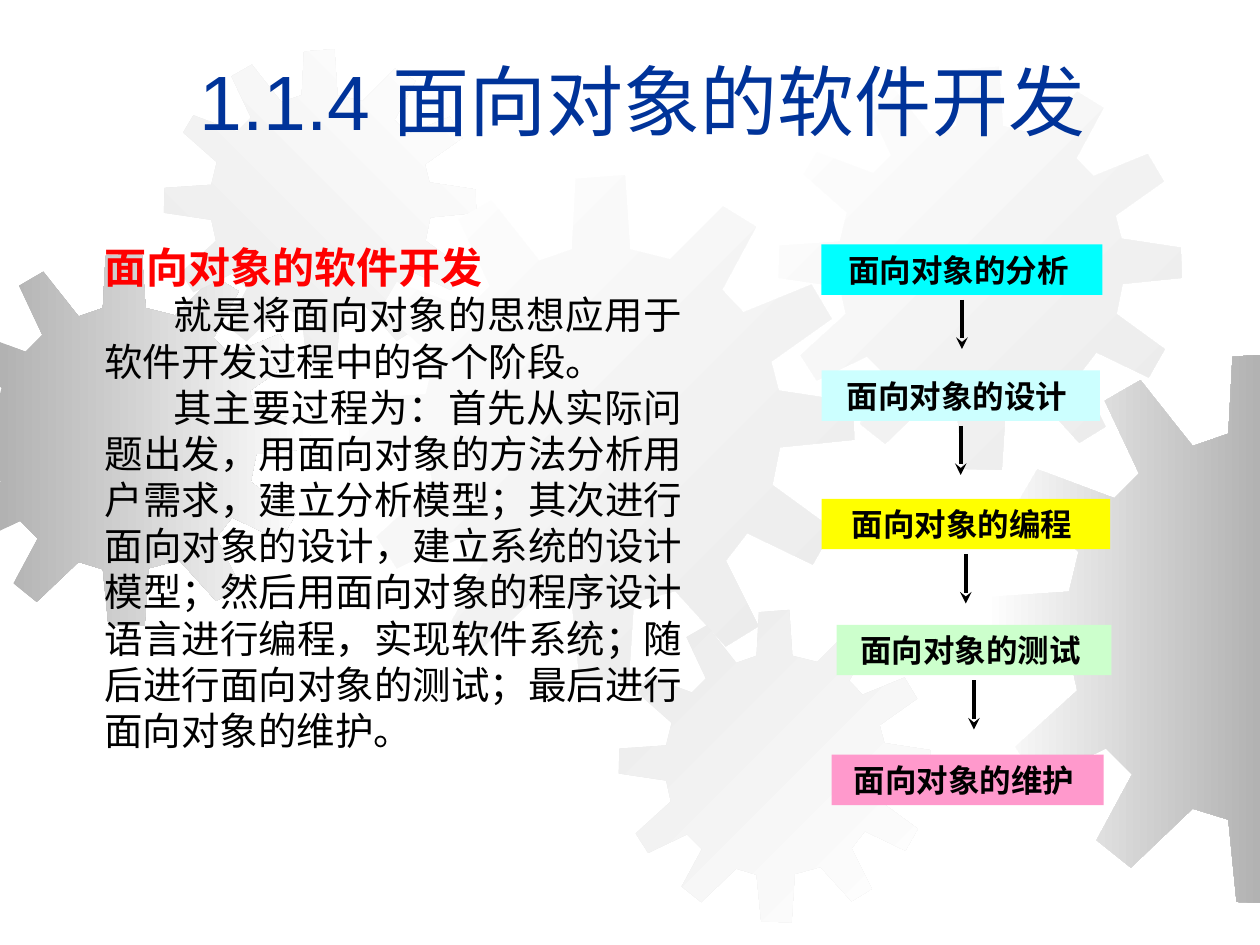
import lxml.etree
import pptx
import pptx.dml.color
import pptx.enum.shapes
import pptx.enum.text
import pptx.oxml.ns
import pptx.util

Inches = pptx.util.Inches
RGBColor = pptx.dml.color.RGBColor
ALIGN = pptx.enum.text.PP_ALIGN

BLACK = RGBColor(0x00, 0x00, 0x00)
WHITE = RGBColor(0xFF, 0xFF, 0xFF)
PALE_GRAY = RGBColor(0xEA, 0xEA, 0xEA)
GRAY = RGBColor(0xB2, 0xB2, 0xB2)
RED = RGBColor(0xFF, 0x00, 0x00)
NAVY = RGBColor(0x00, 0x33, 0x99)
CYAN = RGBColor(0x00, 0xFF, 0xFF)
PALE_CYAN = RGBColor(0xCC, 0xFF, 0xFF)
YELLOW = RGBColor(0xFF, 0xFF, 0x00)
PALE_GREEN = RGBColor(0xCC, 0xFF, 0xCC)
PINK = RGBColor(0xFF, 0x99, 0xCC)

PAGE_WIDTH, PAGE_HEIGHT = 10, 7.5
FONT = "Arial"

GEAR_SIZE = 4.01
GEAR_OUTLINE = [
    (2.55, 0.67), (2.23, 0.59), (2.19, 0), (1.8, 0.03), (1.77, 0.59),
    (1.51, 0.68), (1.13, 0.2), (0.87, 0.35), (1.12, 0.88), (0.94, 1.06),
    (0.38, 0.85), (0.25, 1.07), (0.68, 1.45), (0.61, 1.74), (0.01, 1.78),
    (0, 2.1), (0.61, 2.19), (0.67, 2.46), (0.22, 2.87), (0.38, 3.12),
    (0.88, 2.88), (1.07, 3.07), (0.81, 3.55), (1.06, 3.75), (1.51, 3.32),
    (1.77, 3.4), (1.83, 4), (2.22, 4.01), (2.26, 3.39), (2.59, 3.3),
    (2.99, 3.74), (3.25, 3.58), (2.99, 3.06), (3.16, 2.84), (3.68, 3.09),
    (3.84, 2.81), (3.36, 2.46), (3.42, 2.16), (4.01, 2.1), (4, 1.8),
    (3.41, 1.71), (3.35, 1.48), (3.83, 1.14), (3.67, 0.87), (3.13, 1.09),
    (2.96, 0.91), (3.23, 0.41), (2.97, 0.25),
]
GEARS = [
    (-0.49, 2.01, 2.96, GRAY, WHITE, 0),
    (1.3, 0.39, 2.48, PALE_GRAY, WHITE, 45),
    (2.77, 1.39, 4.01, WHITE, PALE_GRAY, 315),
    (4.91, 4.84, 2.48, PALE_GRAY, WHITE, 315),
    (6.18, 0.53, 3.2, WHITE, PALE_GRAY, 315),
    (7.82, 2.8, 4.37, WHITE, GRAY, 0),
]

HEADING = "面向对象的软件开发"
BODY = [
    "就是将面向对象的思想应用于软件开发过程中的各个阶段。",
    "其主要过程为：首先从实际问题出发，用面向对象的方法分析用户需求，建立分析模型；"
    "其次进行面向对象的设计，建立系统的设计模型；然后用面向对象的程序设计语言进行编程，"
    "实现软件系统；随后进行面向对象的测试；最后进行面向对象的维护。",
]
STEPS = [
    ("面向对象的分析 ", 0, 0, 2.23, CYAN),
    ("面向对象的设计 ", 0, 1, 2.21, PALE_CYAN),
    ("面向对象的编程 ", 0, 2.02, 2.29, YELLOW),
    ("面向对象的测试 ", 0.12, 3.02, 2.18, PALE_GREEN),
    ("面向对象的维护 ", 0.08, 4.05, 2.16, PINK),
]


def clip_side(points, edge, sign):
    """Cut a polygon at a vertical edge, keeping the right (1) or left (-1) part."""
    kept = []
    for (x1, y1), (x2, y2) in zip(points, points[1:] + points[:1]):
        if sign * (x1 - edge) >= 0:
            kept.append((x1, y1))
        if (x1 - edge) * (x2 - edge) < 0:
            kept.append((edge, y1 + (y2 - y1) * (edge - x1) / (x2 - x1)))
    return kept


def add_gear(page, left, top, size, start, end, angle):
    """Draw a gradient gear in a square box, cut at the page sides."""
    scale = size / GEAR_SIZE
    points = [(left + x * scale, top + y * scale) for x, y in GEAR_OUTLINE]
    points = clip_side(clip_side(points, 0, 1), PAGE_WIDTH, -1)
    points = [(Inches(x), Inches(y)) for x, y in points]
    builder = page.shapes.build_freeform(*points[0])
    builder.add_line_segments(points[1:], close=True)
    gear = builder.convert_to_shape()
    gear.shadow.inherit = False
    gear.line.fill.background()
    gear.fill.gradient()
    gear.fill.gradient_angle = angle
    for stop, color in zip(gear.fill.gradient_stops, (start, end)):
        stop.color.rgb = color


def style_para(para, text, size, color, bold, align):
    """Fill a paragraph with text of one style."""
    para.text = text
    para.alignment = align
    para.font.name = FONT
    para.font.size = pptx.util.Pt(size)
    para.font.color.rgb = color
    para.font.bold = bold


def prepare_frame(box, insets):
    """Wrap and centre the text of a box vertically, and return its frame."""
    frame = box.text_frame
    frame.word_wrap = True
    frame.vertical_anchor = pptx.enum.text.MSO_ANCHOR.MIDDLE
    frame.margin_left, frame.margin_top, frame.margin_right, frame.margin_bottom = map(Inches, insets)
    return frame


def add_title(page, left, top, width, height):
    """Place the slide title."""
    box = page.shapes.add_textbox(*map(Inches, (left, top, width, height)))
    frame = prepare_frame(box, (0.1, 0.05, 0.1, 0.05))
    style_para(frame.paragraphs[0], "1.1.4 面向对象的软件开发 ", 44, NAVY, False, ALIGN.CENTER)


def add_explanation(page, left, top, width, height):
    """Place the red heading and the indented paragraphs under it."""
    box = page.shapes.add_textbox(*map(Inches, (left, top, width, height)))
    frame = prepare_frame(box, (0.2, 0.09, 0.17, 0.09))
    style_para(frame.paragraphs[0], HEADING, 24, RED, True, ALIGN.JUSTIFY)
    for text in BODY:
        para = frame.add_paragraph()
        para._p.get_or_add_pPr().set("indent", str(Inches(0.55)))
        style_para(para, text, 22, BLACK, False, ALIGN.JUSTIFY)


def add_arrow(page, x, top, length):
    """Draw an arrow straight down."""
    arrow = page.shapes.add_connector(
        pptx.enum.shapes.MSO_CONNECTOR.STRAIGHT,
        *map(Inches, (x, top, x, top + length)))
    arrow.line.color.rgb = BLACK
    arrow.line.width = pptx.util.Pt(2.25)
    name = pptx.oxml.ns.qn
    lxml.etree.SubElement(arrow.line._get_or_add_ln(), name("a:tailEnd"), type="stealth")
    lxml.etree.SubElement(arrow._element.spPr, name("a:effectLst"))


def add_flow(page, left, top, step_height):
    """Stack the coloured steps and join them with arrows."""
    for index, (text, dx, dy, width, color) in enumerate(STEPS):
        box = page.shapes.add_shape(
            pptx.enum.shapes.MSO_SHAPE.RECTANGLE,
            *map(Inches, (left + dx, top + dy, width, step_height)))
        box.shadow.inherit = False
        box.fill.solid()
        box.fill.fore_color.rgb = color
        box.line.fill.background()
        frame = prepare_frame(box, (0.1, 0.05, 0.1, 0.05))
        style_para(frame.paragraphs[0], text, 18, BLACK, True, ALIGN.CENTER)
        if index < len(STEPS) - 1:
            add_arrow(page, left + dx + width / 2, top + dy + step_height + 0.04, 0.39)


def main():
    """Build the slide and save it."""
    deck = pptx.Presentation()
    deck.slide_width = Inches(PAGE_WIDTH)
    deck.slide_height = Inches(PAGE_HEIGHT)
    page = deck.slides.add_slide(deck.slide_layouts[6])
    for gear in GEARS:
        add_gear(page, *gear)
    add_explanation(page, 0.63, 1.62, 4.96, 4.65)
    add_title(page, 0.67, 0.33, 9, 0.92)
    add_flow(page, 6.52, 1.94, 0.4)
    deck.save("out.pptx")


if __name__ == "__main__":
    main()
